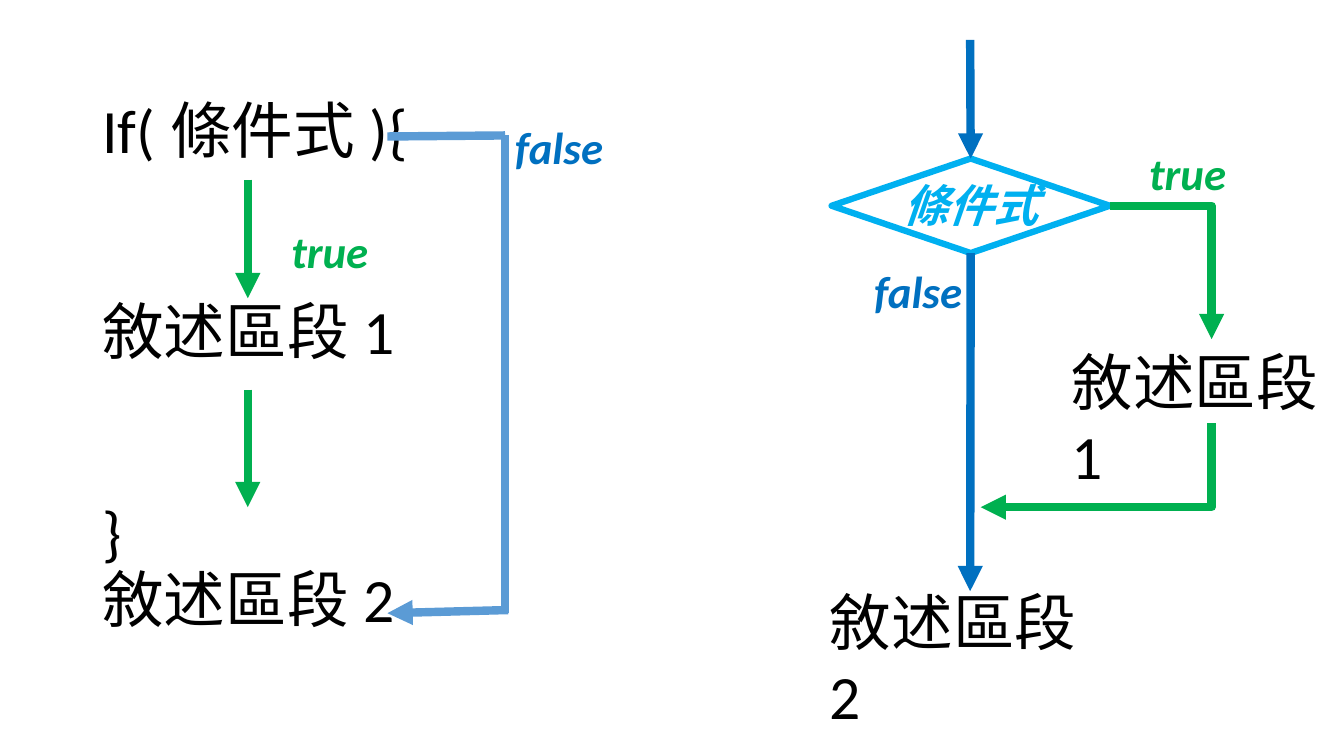
from lxml import etree
from pptx import Presentation
from pptx.dml.color import RGBColor
from pptx.enum.shapes import MSO_CONNECTOR, MSO_SHAPE
from pptx.enum.text import MSO_ANCHOR
from pptx.oxml.ns import qn
from pptx.util import Pt

STRAIGHT, ELBOW = MSO_CONNECTOR.STRAIGHT, MSO_CONNECTOR.ELBOW
DIAMOND = MSO_SHAPE.DIAMOND
MIDDLE = MSO_ANCHOR.MIDDLE
TOP, BOTTOM = 0, 2
EMU_PER_PX = 9525
FONT = "Calibri"
COLORS = {
    "black": "000000",
    "green": "00B050",
    "blue": "0070C0",
    "steel": "5B9BD5",
    "sky": "00B0F0",
}


def px(n):
    """Turn pixels into EMU."""
    return int(n * EMU_PER_PX)


def rgb(name):
    """Look up a named colour."""
    return RGBColor.from_string(COLORS[name])


def add_text(s, box, lines, size=44, color="black", emphasis=False, wrap=True):
    """Add a text box with one paragraph per line."""
    tf = s.shapes.add_textbox(*map(px, box)).text_frame
    tf.word_wrap = wrap
    tf.text = "\n".join(lines)
    for p in tf.paragraphs:
        p.font.name = FONT
        p.font.size = Pt(size)
        p.font.bold = p.font.italic = emphasis
        p.font.color.rgb = rgb(color)
    return tf


def add_label(s, box, text, color):
    """Add a bold italic label on one line."""
    add_text(s, box, [text], 32, color, emphasis=True, wrap=False)


def add_code(s):
    """Add the if statement as spaced code lines."""
    lines = ["If(條件式){", "敘述區段1", "}", "敘述區段2"]
    tf = add_text(s, (88, 38, 1104, 625), lines)
    tf.vertical_anchor = MIDDLE
    for p, gap in zip(tf.paragraphs, (0, 96, 96, 0)):
        p.line_spacing = 0.9
        p.space_before = Pt(gap)


def add_line(s, ends, color, arrow=True, kind=STRAIGHT):
    """Add a thick connector, with an arrowhead if wanted."""
    line = s.shapes.add_connector(kind, *map(px, ends))
    line.line.color.rgb = rgb(color)
    line.line.width = Pt(6)
    if arrow:
        ln = line.line._get_or_add_ln()
        etree.SubElement(ln, qn("a:tailEnd"), type="triangle")
    etree.SubElement(line._element.spPr, qn("a:effectLst"))
    return line


def add_elbow(s, ends, color, turned=False):
    """Add a one-bend arrow, turned a quarter if it starts downwards."""
    x1, y1, x2, y2 = ends
    if turned:
        cx, cy = (x1 + x2) / 2, (y1 + y2) / 2
        w, h = abs(y2 - y1), abs(x2 - x1)
        ends = (cx - w / 2, cy - h / 2, cx + w / 2, cy + h / 2)
    spPr = add_line(s, ends, color, kind=ELBOW)._element.spPr
    spPr.find(qn("a:prstGeom")).set("prst", "bentConnector2")
    if turned:
        spPr.find(qn("a:xfrm")).set("rot", "5400000")


def add_condition(s, box):
    """Add the outlined decision diamond."""
    sp = s.shapes.add_shape(DIAMOND, *map(px, box))
    sp.shadow.inherit = False
    sp.fill.background()
    sp.line.color.rgb = rgb("sky")
    sp.line.width = Pt(4.5)
    return sp


def add_code_flow(s):
    """Add the code with its true and false paths."""
    add_code(s)
    add_line(s, (236, 171, 236, 284), "green")
    add_line(s, (236, 371, 236, 483), "green")
    add_line(s, (369, 130, 481, 129), "steel", arrow=False)
    add_line(s, (481, 129, 481, 584), "steel", arrow=False)
    add_line(s, (484, 581, 369, 584), "steel")
    add_label(s, (268, 208, 93, 61), "true", "green")
    add_label(s, (481, 109, 105, 61), "false", "blue")


def add_flowchart(s):
    """Add the flowchart of the same statement."""
    diamond = add_condition(s, (792, 151, 265, 90))
    add_line(s, (924, 38, 924, 151), "blue").end_connect(diamond, TOP)
    add_elbow(s, (1057, 196, 1154, 323), "green")
    add_line(s, (924, 241, 924, 563), "blue").begin_connect(diamond, BOTTOM)
    add_elbow(s, (1154, 403, 934, 483), "green", turned=True)
    add_label(s, (851, 165, 149, 61), "條件式", "sky")
    add_label(s, (1085, 134, 93, 61), "true", "green")
    add_label(s, (823, 246, 105, 61), "false", "blue")
    add_text(s, (1011, 323, 286, 81), ["敘述區段1"])
    add_text(s, (781, 551, 286, 81), ["敘述區段2"])


def main():
    """Build and save the slide."""
    prs = Presentation()
    prs.slide_width, prs.slide_height = px(1280), px(720)
    s = prs.slides.add_slide(prs.slide_layouts[6])
    add_code_flow(s)
    add_flowchart(s)
    prs.save("out.pptx")


if __name__ == "__main__":
    main()
